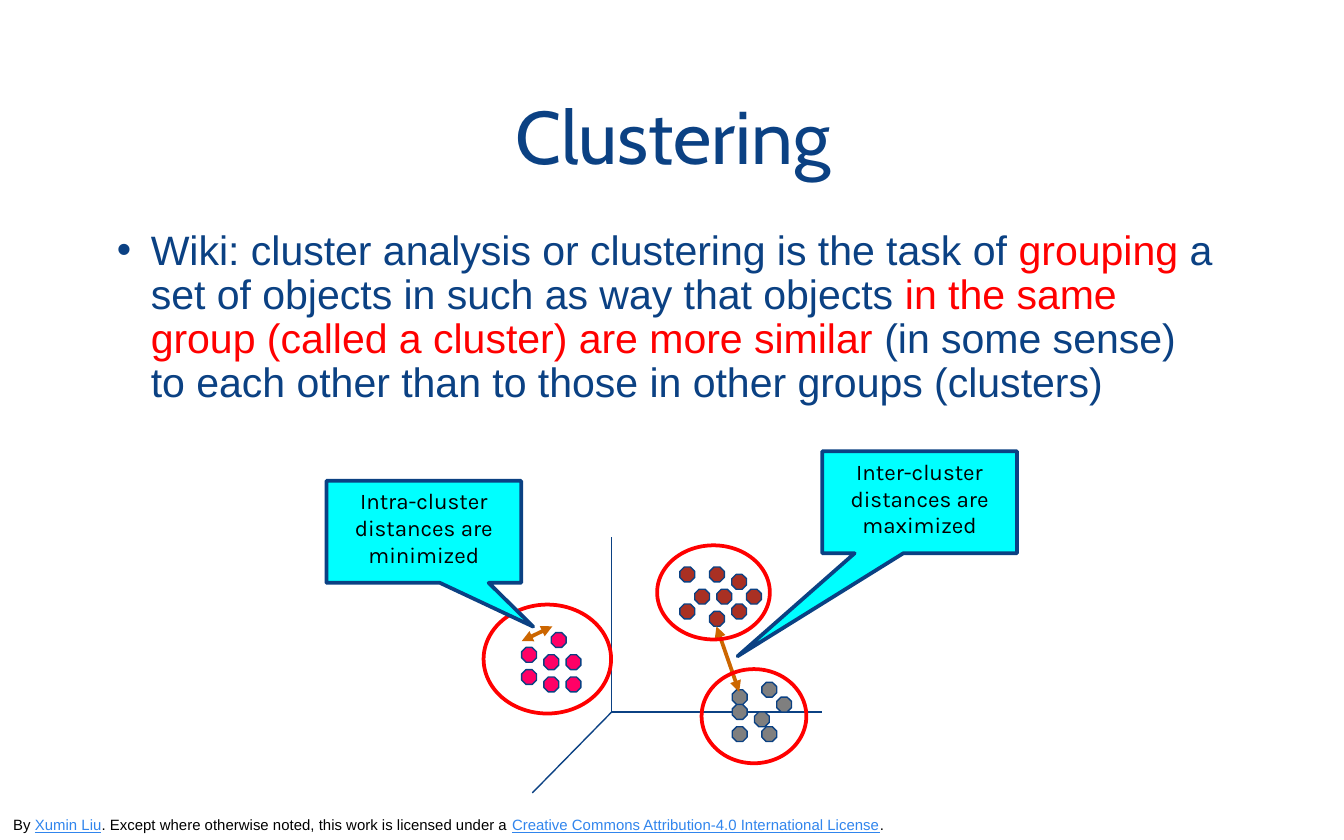
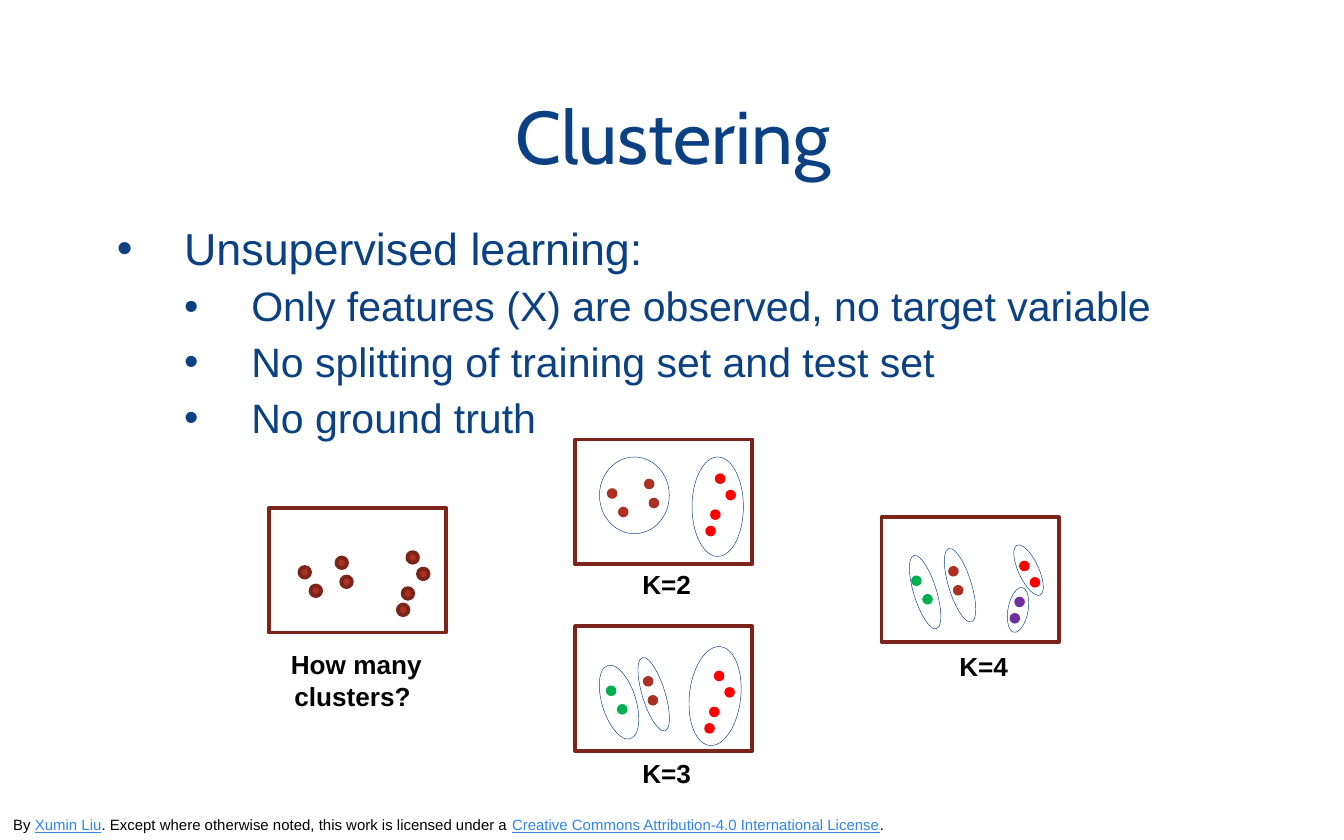
from lxml import etree
from pptx import Presentation
from pptx import util as u
from pptx.dml.color import RGBColor
from pptx.enum import shapes, text
from pptx.oxml import ns

COLORS = {
    "navy": "0B4183", "black": "000000", "link": "3085ED", "red": "FF0000",
    "maroon": "A93023", "frame": "7D241A", "pink": "FF0066", "gray": "7F7F7F",
    "orange": "CC6600", "cyan": "00FFFF", "green": "00B050", "purple": "7030A0",
}
FOOTER = [
    ("By ", "black"), ("Xumin Liu", "link"),
    (". Except where otherwise noted, this work is licensed under a ", "black"),
    ("Creative Commons Attribution-4.0 International License", "link"),
    (".", "black"),
]

# Each group of objects: colour, top left corner in cm, (column, row) grid steps
GRID_STEP = 0.14
OBJECT_GROUPS = [
    ("maroon", 12.85, 10.72, [(2, 3), (5, 3), (4, 0), (4, 6), (9, 3), (7, 1),
                              (0, 0), (7, 5), (0, 5)]),
    ("pink", 9.86, 11.96, [(0, 2), (3, 3), (3, 6), (6, 3), (4, 0), (6, 6), (0, 5)]),
    ("gray", 13.84, 12.9, [(0, 1), (6, 2), (3, 4), (0, 6), (4, 6), (0, 3), (4, 0)]),
]

# The same eight points appear in every panel, relative to its corner
POINTS = [(0.58, 1.12), (0.79, 1.47), (1.28, 0.94), (1.37, 1.3),
          (2.44, 1.83), (2.53, 1.52), (2.62, 0.84), (2.82, 1.15)]
PANELS = [
    dict(corner=(5.08, 9.6), colors=["maroon"] * 8, outline="frame",
         label="How many clusters? ", label_box=(-0.1, 2.54, 3.51, 1.45),
         align="CENTER"),
    dict(corner=(10.87, 8.31), shift=(0.02, -0.2),
         colors=["maroon"] * 4 + ["red"] * 4,
         label="K=2", label_box=(1.02, 2.31, 1.65, 0.86),
         rings=[(0.46, 0.33, 1.32, 1.45, 0), (2.21, 0.33, 0.97, 1.88, 0)]),
    dict(corner=(10.87, 11.84),
         colors=["green"] * 2 + ["maroon"] * 2 + ["red"] * 4,
         label="K=3", label_box=(1.02, 2.36, 1.73, 0.86),
         rings=[(0.51, 0.71, 0.64, 1.45, -17.2), (1.27, 0.56, 0.43, 1.45, -17.2),
                (2.16, 0.38, 0.97, 1.88, 6.3)]),
    dict(corner=(16.66, 9.78), shift=(-0.02, -0.02),
         colors=["green"] * 2 + ["maroon"] * 2 + ["purple"] * 2 + ["red"] * 2,
         label="K=4", label_box=(1.22, 2.39, 1.57, 0.86),
         rings=[(2.59, 0.48, 0.38, 1.04, -24.9), (0.61, 0.69, 0.43, 1.45, -17.2),
                (1.27, 0.56, 0.43, 1.45, -17.2), (2.39, 1.32, 0.38, 0.86, 10.5)]),
]


def rgb(color):
    return RGBColor.from_string(COLORS[color])


def cm(*lengths):
    return [u.Cm(length) for length in lengths]


def write(paragraph, content, size=22, font="Arial", color="navy",
          bold=False, underline=False, align=None):
    """Append a formatted run to the paragraph."""
    run = paragraph.add_run()
    run.text = content
    run.font.size = u.Pt(size)
    run.font.name = font
    run.font.bold = bold
    run.font.underline = underline
    run.font.color.rgb = rgb(color)
    if align:
        paragraph.alignment = text.PP_ALIGN[align]


class Deck:
    def __init__(self):
        self.prs = Presentation()
        self.prs.slide_width, self.prs.slide_height = cm(25.4, 15.88)
        self.slide = None

    def new_slide(self, title):
        self.slide = self.prs.slides.add_slide(self.prs.slide_layouts[1])
        footer = self.text_box(0, 15.27, 19.05, 0.61, anchor="BOTTOM")
        for content, color in FOOTER:
            write(footer, content, size=8, color=color, underline=color == "link")
        heading = self.place(self.slide.shapes.title, (1.73, 1.07, 21.97, 2.57),
                             (0.25, 0.25), "BOTTOM")
        write(heading.paragraphs[0], title, size=40, font="Cabin", align="CENTER")

    def place(self, holder, box, insets, anchor):
        """Move a placeholder and return its text frame."""
        holder.left, holder.top, holder.width, holder.height = cm(*box)
        frame = holder.text_frame
        frame.word_wrap = True
        frame.auto_size = text.MSO_AUTO_SIZE.NONE
        frame.vertical_anchor = text.MSO_ANCHOR[anchor]
        frame.margin_left = frame.margin_right = u.Cm(insets[0])
        frame.margin_top = frame.margin_bottom = u.Cm(insets[1])
        return frame

    def bullets(self, box, items):
        """Fill the body with (level, left indent, hanging, size, runs) items."""
        frame = self.place(self.slide.placeholders[1], box, (0.18, 0.1), "TOP")
        for index, (level, left, hanging, size, runs) in enumerate(items):
            paragraph = frame.add_paragraph() if index else frame.paragraphs[0]
            paragraph.level = level
            paragraph.line_spacing = 0.9
            paragraph.space_before, paragraph.space_after = u.Pt(0), u.Pt(6)
            props = paragraph._p.get_or_add_pPr()
            props.set("marL", str(u.Cm(left)))
            props.set("indent", str(-u.Cm(hanging)))
            tint = etree.SubElement(props, ns.qn("a:buClr"))
            etree.SubElement(tint, ns.qn("a:srgbClr"), val=COLORS["navy"])
            etree.SubElement(props, ns.qn("a:buFont"), typeface="Arial")
            etree.SubElement(props, ns.qn("a:buChar"), char="•")
            for content, color in runs:
                write(paragraph, content, size=size, color=color)

    def text_box(self, *box, anchor="TOP"):
        """Add a text box and return its first paragraph."""
        frame = self.slide.shapes.add_textbox(*cm(*box)).text_frame
        frame.word_wrap = True
        frame.vertical_anchor = text.MSO_ANCHOR[anchor]
        return frame.paragraphs[0]

    def shape(self, kind, *box, fill=None, outline=None, weight=2, rotation=0):
        item = self.slide.shapes.add_shape(shapes.MSO_SHAPE[kind], *cm(*box))
        item.shadow.inherit = False
        item.rotation = rotation
        if fill:
            item.fill.solid()
            item.fill.fore_color.rgb = rgb(fill)
        else:
            item.fill.background()
        if outline:
            item.line.color.rgb = rgb(outline)
            item.line.width = u.Pt(weight)
        else:
            item.line.fill.background()
        return item

    def callout(self, left, top, tip, content):
        bubble = self.shape("RECTANGULAR_CALLOUT", left, top, 3.68, 1.93,
                            fill="cyan", outline="navy")
        bubble.adjustments[0], bubble.adjustments[1] = tip
        frame = bubble.text_frame
        frame.word_wrap = True
        frame.vertical_anchor = text.MSO_ANCHOR.TOP
        write(frame.paragraphs[0], content, size=12, font="Karla",
              color="black", align="CENTER")

    def line(self, *ends, color="navy", weight=0.75, arrows=False):
        link = self.slide.shapes.add_connector(
            shapes.MSO_CONNECTOR.STRAIGHT, *cm(*ends))
        link.line.color.rgb = rgb(color)
        link.line.width = u.Pt(weight)
        if arrows:
            stroke = link.line._get_or_add_ln()
            for end in ("a:headEnd", "a:tailEnd"):
                etree.SubElement(stroke, ns.qn(end), type="triangle")
        etree.SubElement(link._element.spPr, ns.qn("a:effectLst"))

    def panel(self, corner, colors, label, label_box, shift=(0, 0), outline=None,
              rings=(), align="LEFT"):
        """Draw a framed scatter of the points with its clusters and label."""
        left, top = corner
        self.shape("RECTANGLE", left, top, 3.35, 2.36, outline="frame")
        for (x, y), color in zip(POINTS, colors):
            self.shape("OVAL", left + x + shift[0], top + y + shift[1], 0.2, 0.2,
                       fill=color, outline=outline)
        for x, y, width, height, rotation in rings:
            self.shape("OVAL", left + x, top + y, width, height,
                       outline="navy", weight=0.25, rotation=rotation)
        x, y, width, height = label_box
        write(self.text_box(left + x, top + y, width, height), label,
              size=14, color="black", bold=True, align=align)


def definition_slide(deck):
    deck.new_slide("Clustering")
    deck.bullets((2.03, 4.24, 21.23, 10.06), [(0, 0.64, 0.64, 22, [
        ("Wiki: cluster analysis or clustering is the task of ", "navy"),
        ("grouping", "red"),
        (" a set of objects in such as way that objects ", "navy"),
        ("in the same group (called a cluster) are more similar ", "red"),
        ("(in some sense) to each other than to those in other groups (clusters)",
         "navy"),
    ])])
    origin = (11.56, 13.46)
    for axis_end in [(11.56, 10.16), (15.54, 13.46), (10.06, 14.99)]:
        deck.line(*origin, *axis_end)
    for color, left, top, cells in OBJECT_GROUPS:
        for column, row in cells:
            deck.shape("OCTAGON", left + column * GRID_STEP, top + row * GRID_STEP,
                       0.28, 0.28, fill=color, outline="navy", weight=0.75)
    deck.line(13.97, 13.08, 13.54, 11.84, color="orange", weight=2, arrows=True)
    deck.callout(15.54, 8.53, (-0.935, 1.509), "Inter-cluster distances are maximized")
    for ring in [(9.14, 11.43, 2.41, 2.06), (12.42, 10.31, 2.13, 1.78),
                 (13.26, 12.65, 1.98, 1.78)]:
        deck.shape("OVAL", *ring, outline="red")
    deck.line(9.86, 12.12, 10.44, 11.84, color="orange", weight=2, arrows=True)
    deck.callout(6.17, 9.09, (0.562, 0.929), "Intra-cluster distances are minimized")


def unsupervised_slide(deck):
    deck.new_slide("Clustering")
    details = ["Only features (X) are observed, no target variable",
               "No splitting of training set and test set", "No ground truth"]
    deck.bullets((1.73, 4.19, 21.97, 10.06),
                 [(0, 1.57, 1.27, 24, [("Unsupervised learning:", "navy")])]
                 + [(1, 2.84, 1.27, 22, [(detail, "navy")]) for detail in details])
    for panel in PANELS:
        deck.panel(**panel)


def main():
    deck = Deck()
    definition_slide(deck)
    unsupervised_slide(deck)
    deck.prs.save("out.pptx")


if __name__ == "__main__":
    main()
